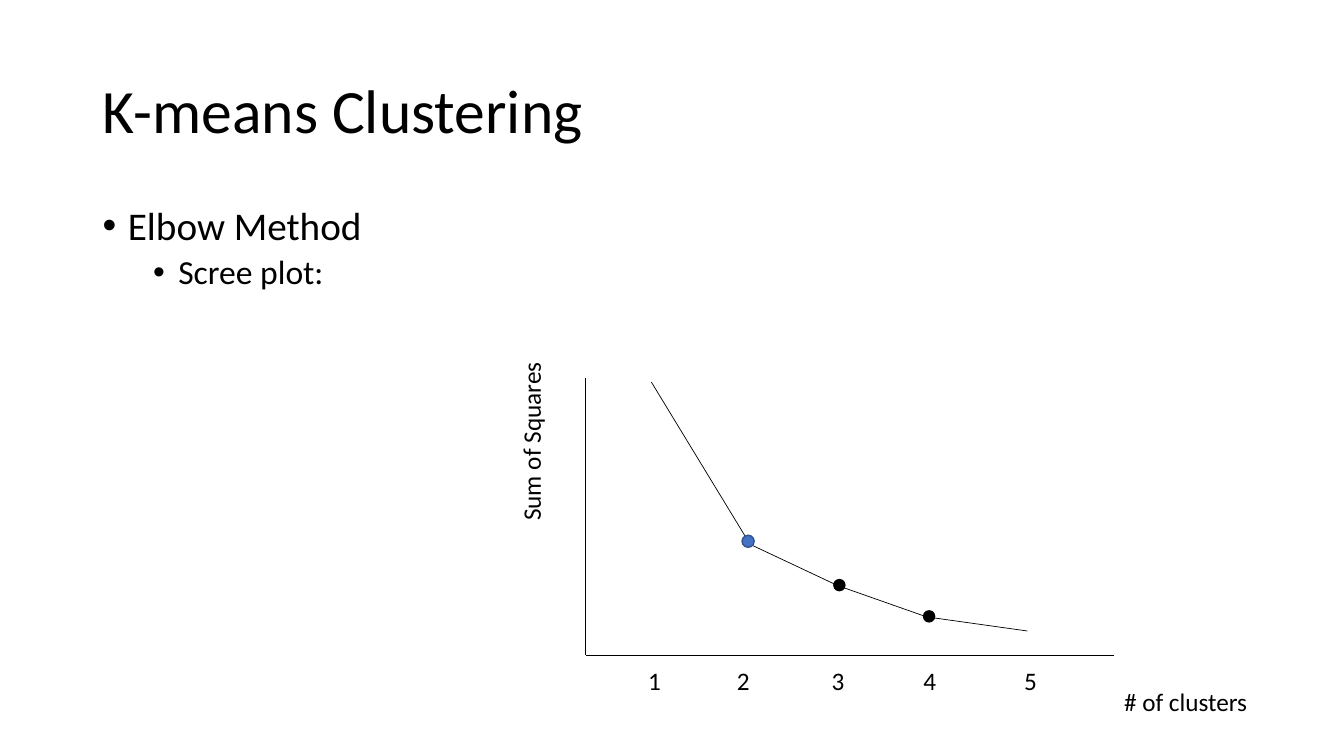
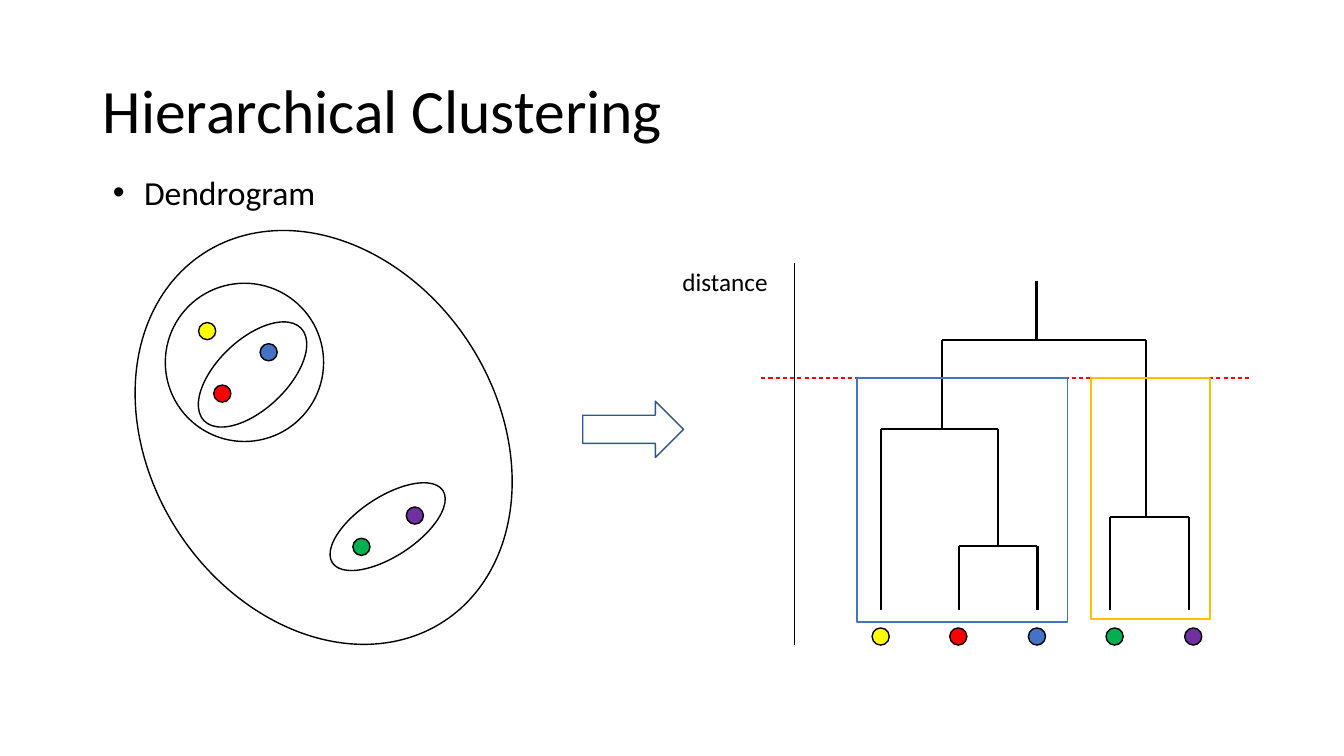
from itertools import pairwise

from lxml import etree
from pptx import Presentation
from pptx.dml.color import RGBColor
from pptx.enum.dml import MSO_LINE
from pptx.enum.shapes import MSO_CONNECTOR, MSO_SHAPE
from pptx.enum.text import MSO_ANCHOR
from pptx.oxml.ns import qn
from pptx.util import Pt

PX = 9144
FONT = "Calibri"
BLACK = RGBColor(0x00, 0x00, 0x00)
BLUE = RGBColor(0x44, 0x72, 0xC4)
NAVY = RGBColor(0x32, 0x54, 0x91)
YELLOW = RGBColor(0xFF, 0xFF, 0x00)
RED = RGBColor(0xFF, 0x00, 0x00)
GREEN = RGBColor(0x00, 0xB0, 0x50)
PURPLE = RGBColor(0x70, 0x30, 0xA0)
GOLD = RGBColor(0xFF, 0xC0, 0x00)

OVAL = MSO_SHAPE.OVAL
RECT = MSO_SHAPE.RECTANGLE
ARROW = MSO_SHAPE.RIGHT_ARROW
STRAIGHT = MSO_CONNECTOR.STRAIGHT
DASH = MSO_LINE.DASH
MIDDLE = MSO_ANCHOR.MIDDLE
TOP = MSO_ANCHOR.TOP


def write(p, text, size=18, color=BLACK, spacing=None, before=None, margin=None, hang=0):
    if margin is not None:
        pPr = p._p.get_or_add_pPr()
        pPr.set("marL", str(margin * PX))
        pPr.set("indent", str(-hang * PX))
        etree.SubElement(pPr, qn("a:buFont")).set("typeface", "Arial")
        etree.SubElement(pPr, qn("a:buChar")).set("char", "•")
    if spacing is not None:
        p.line_spacing = spacing
    if before is not None:
        p.space_before = Pt(before)
    r = p.add_run()
    r.text = text
    r.font.name = FONT
    r.font.size = Pt(size)
    r.font.color.rgb = color


class Deck:
    def __init__(self, width, height):
        self.prs = Presentation()
        self.prs.slide_width = width * PX
        self.prs.slide_height = height * PX
        self.s = None

    def slide(self, title):
        self.s = self.prs.slides.add_slide(self.prs.slide_layouts[6])
        tf = self.box(92, 40, 1150, 145, anchor=MIDDLE)
        write(tf.paragraphs[0], title, size=44, spacing=0.9)

    def box(self, x, y, w, h, anchor=TOP, wrap=True, rotation=0):
        sp = self.s.shapes.add_textbox(x * PX, y * PX, w * PX, h * PX)
        sp.rotation = rotation
        tf = sp.text_frame
        tf.word_wrap = wrap
        tf.vertical_anchor = anchor
        return tf

    def label(self, text, x, y, w, h=40, **place):
        write(self.box(x, y, w, h, **place).paragraphs[0], text)

    def shape(self, kind, x, y, w, h, line=BLACK, fill=None, rotation=0):
        sp = self.s.shapes.add_shape(kind, x * PX, y * PX, w * PX, h * PX)
        sp.shadow.inherit = False
        sp.rotation = rotation
        if fill is None:
            sp.fill.background()
        else:
            sp.fill.solid()
            sp.fill.fore_color.rgb = fill
        sp.line.color.rgb = line
        sp.line.width = Pt(1)

    def dot(self, x, y, fill, size=17, line=BLACK):
        self.shape(OVAL, x - size // 2, y - size // 2, size, size, line, fill)

    def line(self, start, end, width=0.5, color=BLACK, dash=None):
        (x1, y1), (x2, y2) = start, end
        c = self.s.shapes.add_connector(STRAIGHT, x1 * PX, y1 * PX, x2 * PX, y2 * PX)
        c.line.color.rgb = color
        c.line.width = Pt(width)
        if dash is not None:
            c.line.dash_style = dash
        etree.SubElement(c._element.spPr, qn("a:effectLst"))

    def path_of_lines(self, points, width=0.5):
        for start, end in pairwise(points):
            self.line(start, end, width)

    def merge(self, left, right, top, left_foot, right_foot):
        corners = [(left, left_foot), (left, top), (right, top), (right, right_foot)]
        self.path_of_lines(corners, 1.5)


def k_means(deck):
    deck.slide("K-means Clustering")
    tf = deck.box(92, 200, 1150, 476)
    write(tf.paragraphs[0], "Elbow Method", size=28, spacing=0.9, margin=25, hang=25)
    write(tf.add_paragraph(), "Scree plot:", size=24, spacing=0.9, before=5, margin=75, hang=25)

    deck.path_of_lines([(581, 375), (581, 650), (1105, 650)])
    for number, x in enumerate((633, 721, 815, 906, 1006), 1):
        deck.label(str(number), x, 655, 53)
    deck.label("# of clusters", 1105, 676, 171)
    deck.label("Sum of Squares", 437, 417, 179, wrap=False, rotation=270)

    deck.path_of_lines([(646, 379), (744, 540), (831, 581), (919, 612), (1019, 626)])
    deck.dot(742, 537, BLUE, size=12, line=NAVY)
    for x, y in ((832, 580), (921, 611)):
        deck.dot(x, y, BLACK, size=11)


def hierarchical(deck):
    deck.slide("Hierarchical Clustering")
    tf = deck.box(102, 166, 311, 50)
    write(tf.paragraphs[0], "Dendrogram", size=24, margin=31, hang=31)

    clusters = (
        (149, 216, 344, 436, 326.8),
        (164, 281, 157, 157, 326.8),
        (184, 337, 133, 69, 316.5),
        (319, 493, 131, 59, 326.8),
    )
    for x, y, w, h, rotation in clusters:
        deck.shape(OVAL, x, y, w, h, rotation=rotation)
    items = ((YELLOW, 205, 328), (RED, 220, 390), (BLUE, 266, 349),
             (GREEN, 358, 542), (PURPLE, 411, 511))
    for i, (color, x, y) in enumerate(items):
        deck.dot(x, y, color)
        deck.dot(873 + i * 155 // 2, 631, color)
    deck.shape(ARROW, 578, 398, 100, 56, line=NAVY)

    deck.line((788, 261), (788, 640))
    deck.label("distance", 667, 259, 316)
    deck.merge(951, 1029, 542, 605, 605)
    deck.merge(1101, 1179, 513, 605, 605)
    deck.merge(874, 990, 426, 605, 542)
    deck.merge(934, 1137, 337, 426, 513)
    deck.line((1028, 279), (1028, 337), 1.5)
    deck.line((755, 375), (1242, 375), 0.75, RED, DASH)
    deck.shape(RECT, 850, 375, 209, 242, line=BLUE)
    deck.shape(RECT, 1082, 375, 118, 239, line=GOLD)


def main():
    deck = Deck(1333, 750)
    k_means(deck)
    hierarchical(deck)
    deck.prs.save("out.pptx")


if __name__ == "__main__":
    main()
